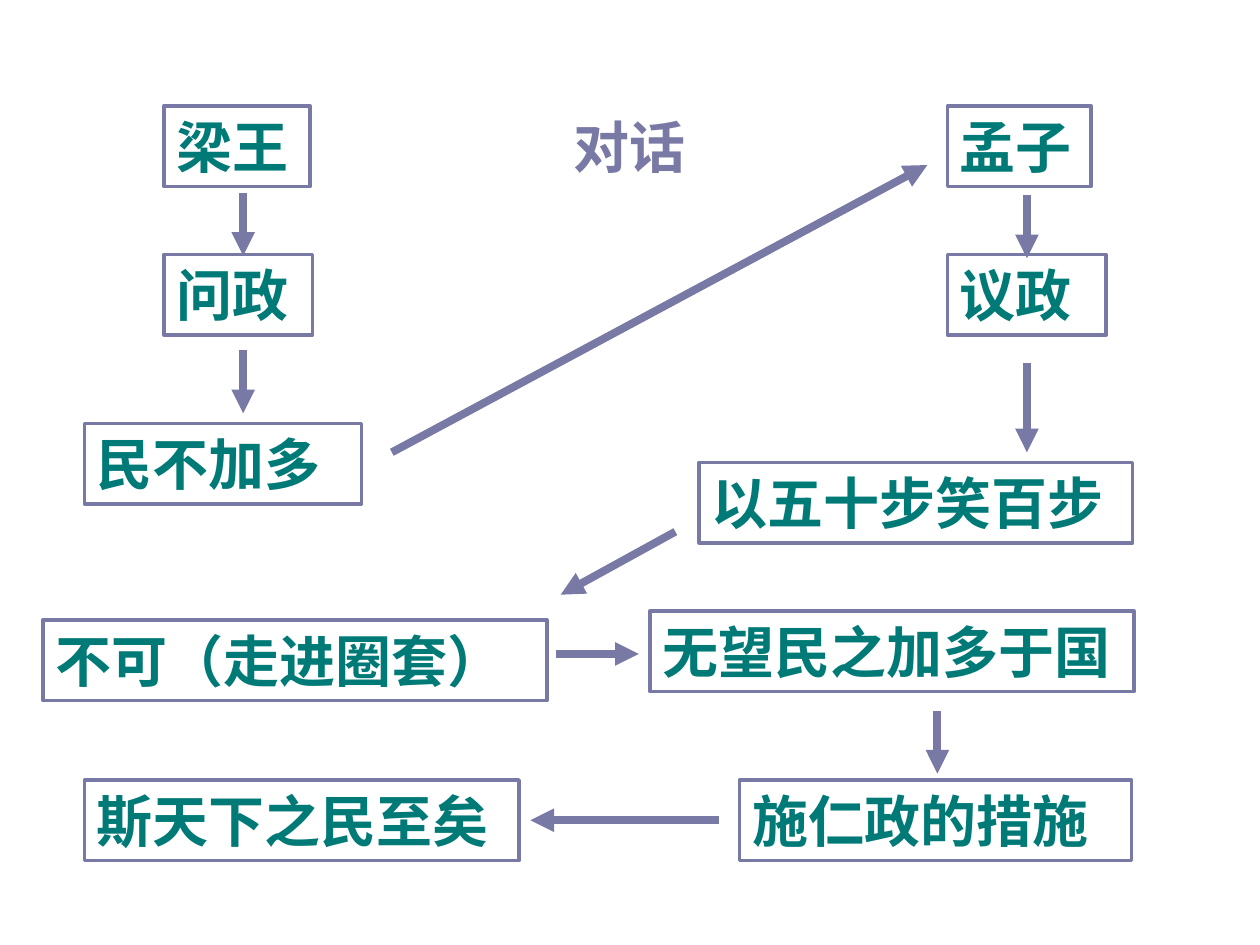
import pptx
import pptx.util
import pptx.dml.color
import pptx.enum.shapes
import pptx.enum.text
from lxml import etree

PX = 9144  # 100 px to the inch
HIGH = 64
FACE = "Noto Sans CJK SC"
INK = {"line": "7979A5", "text": "007A77"}
NS = "http://schemas.openxmlformats.org/drawingml/2006/main"


def tone(name):
    return pptx.dml.color.RGBColor.from_string(INK[name])


def write(shape, text, name):
    frame = shape.text_frame
    frame.word_wrap = True
    frame.vertical_anchor = pptx.enum.text.MSO_ANCHOR.TOP
    para = frame.paragraphs[0]
    para.text = text
    para.alignment = pptx.enum.text.PP_ALIGN.LEFT
    font = para.font
    font.size = pptx.util.Pt(32)
    font.bold = True
    font.color.rgb = tone(name)
    font.name = FACE
    # Chinese glyphs take the East Asian face
    props = para._p.pPr.find(f"{{{NS}}}defRPr")
    etree.SubElement(props, f"{{{NS}}}ea", typeface=FACE)


deck = pptx.Presentation()
deck.slide_width = 1000 * PX
deck.slide_height = 750 * PX
slide = deck.slides.add_slide(deck.slide_layouts[6])

# Boxes: text, left, top, width
boxes = [
    ("梁王", 130, 84, 116),
    ("孟子", 752, 84, 114),
    ("问政", 130, 202, 118),
    ("议政", 752, 202, 126),
    ("民不加多", 67, 336, 220),
    ("以五十步笑百步", 555, 367, 344),
    ("不可（走进圈套）", 34, 492, 400),
    ("无望民之加多于国", 516, 485, 384),
    ("斯天下之民至矣", 67, 619, 345),
    ("施仁政的措施", 587, 619, 311),
]
for text, left, top, wide in boxes:
    box = slide.shapes.add_shape(
        pptx.enum.shapes.MSO_SHAPE.RECTANGLE,
        left * PX, top * PX, wide * PX, HIGH * PX)
    box.shadow.inherit = False
    box.fill.background()
    box.line.color.rgb = tone("line")
    box.line.width = pptx.util.Pt(2)
    write(box, text, "text")

label = slide.shapes.add_textbox(445 * PX, 84 * PX, 122 * PX, HIGH * PX)
write(label, "对话", "line")

# Arrows: start x, y, end x, y
arrows = [
    (193, 153, 193, 203),
    (193, 278, 193, 328),
    (311, 359, 736, 131),
    (815, 155, 815, 205),
    (815, 288, 815, 359),
    (536, 422, 445, 472),
    (441, 519, 507, 519),
    (744, 564, 744, 614),
    (571, 651, 421, 651),
]
for ends in arrows:
    arrow = slide.shapes.add_connector(
        pptx.enum.shapes.MSO_CONNECTOR.STRAIGHT, *(n * PX for n in ends))
    arrow.line.color.rgb = tone("line")
    arrow.line.width = pptx.util.Pt(4.5)
    props = arrow._element.spPr
    etree.SubElement(props.find(f"{{{NS}}}ln"), f"{{{NS}}}tailEnd", type="triangle")
    etree.SubElement(props, f"{{{NS}}}effectLst")

deck.save("out.pptx")
